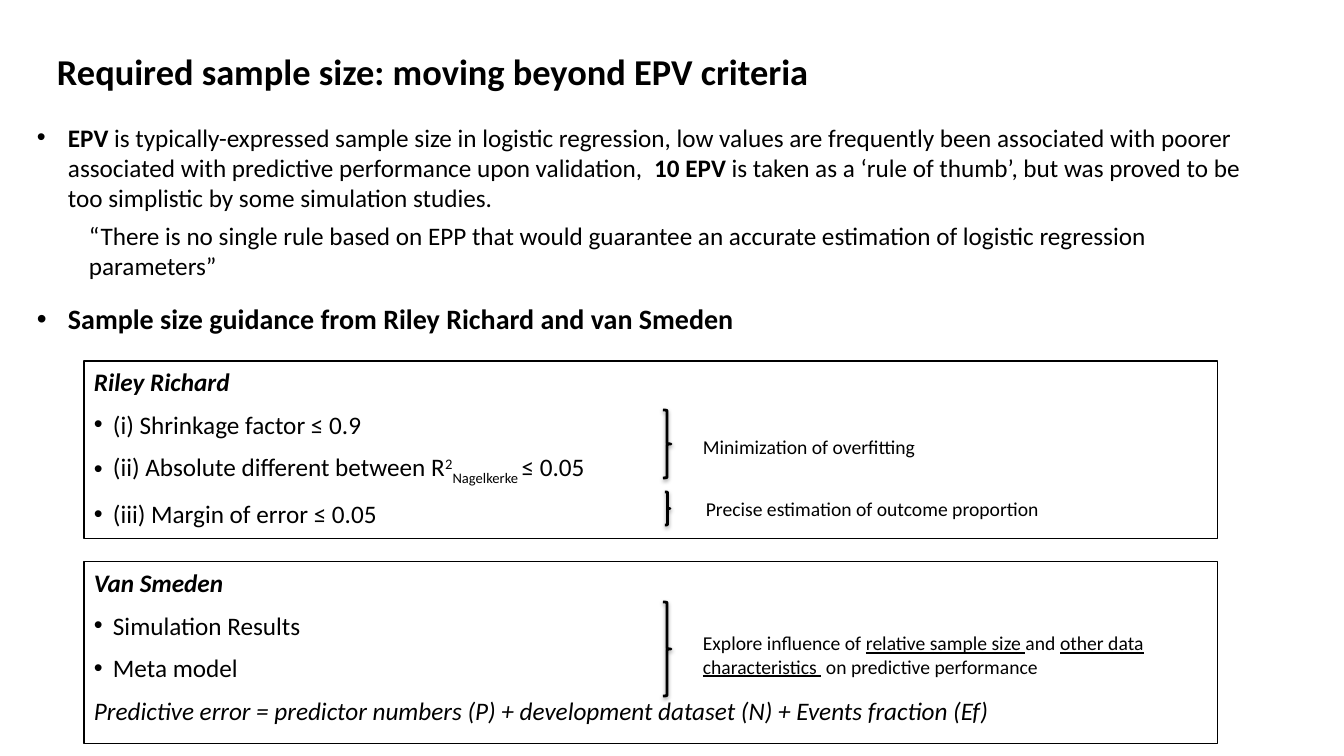
import pptx
import pptx.dml.color
import pptx.enum.shapes
import pptx.enum.text
import pptx.oxml
import pptx.oxml.ns
import pptx.util

EMU_PER_PX = 914400 / 100.8
BLACK = "000000"
FONT = "Calibri"
BOLD = {"bold": True}
HEADING = {"bold": True, "italic": True}
UNDERLINED = {"underline": True}
SHAPES = pptx.enum.shapes.MSO_SHAPE


def px(length):
    return pptx.util.Emu(round(length * EMU_PER_PX))


def color(value):
    return pptx.dml.color.RGBColor.from_string(value)


def para(*runs, size=18, before=0.5, left=0, hanging=0, bullet=False, level=0):
    """One paragraph; before is a share of the text size, indents are px."""
    return dict(runs=runs, size=size, before=before, left=left,
                hanging=hanging, bullet=bullet, level=level)


def item(*runs):
    return para(*runs, left=19, hanging=19, bullet=True)


def add_run(paragraph, text, size, formats):
    run = paragraph.add_run()
    run.text = text
    run.font.name = FONT
    run.font.size = pptx.util.Pt(size)
    run.font.color.rgb = color(BLACK)
    for name, value in formats.items():
        if name == "baseline":
            run._r.get_or_add_rPr().set("baseline", str(value * 1000))
        else:
            setattr(run.font, name, value)


def write(frame, paragraphs, inset=True):
    settings = {
        "word_wrap": True,
        "auto_size": pptx.enum.text.MSO_AUTO_SIZE.NONE,
        "vertical_anchor": pptx.enum.text.MSO_ANCHOR.TOP,
    }
    if not inset:
        settings.update(margin_left=0, margin_right=0, margin_top=0, margin_bottom=0)
    for name, value in settings.items():
        setattr(frame, name, value)

    for index, content in enumerate(paragraphs):
        paragraph = frame.add_paragraph() if index else frame.paragraphs[0]
        paragraph.alignment = pptx.enum.text.PP_ALIGN.LEFT
        paragraph.level = content["level"]
        paragraph.space_before = pptx.util.Pt(content["size"] * content["before"])
        properties = paragraph._p.get_or_add_pPr()
        properties.set("marL", str(px(content["left"])))
        properties.set("indent", str(px(-content["hanging"])))
        if content["bullet"]:
            namespace = pptx.oxml.ns.nsdecls("a")
            properties.append(pptx.oxml.parse_xml(
                f'<a:buFont {namespace} typeface="Arial"/>'))
            properties.append(pptx.oxml.parse_xml(
                f'<a:buChar {namespace} char="•"/>'))
        for run in content["runs"]:
            text, formats = (run, {}) if isinstance(run, str) else run
            add_run(paragraph, text, content["size"], formats)


def add_title(slide, text, left, top, width, height):
    title = slide.shapes.title
    place = {"left": left, "top": top, "width": width, "height": height}
    for name, value in place.items():
        setattr(title, name, px(value))
    write(title.text_frame, [para((text, BOLD), size=26, before=0)], inset=False)


def add_text(slide, box, paragraphs, inset=True):
    text = slide.shapes.add_textbox(*map(px, box))
    write(text.text_frame, paragraphs, inset)


def add_outline(slide, kind, box, weight):
    shape = slide.shapes.add_shape(kind, *map(px, box))
    shape.shadow.inherit = False
    shape.fill.background()
    shape.line.color.rgb = color(BLACK)
    shape.line.width = pptx.util.Pt(weight)
    return shape


def add_panel(slide, top, height, paragraphs):
    panel = add_outline(slide, SHAPES.RECTANGLE, (84, top, 1134, height), 0.75)
    write(panel.text_frame, paragraphs)


def add_brace(slide, left, top, width, height):
    brace = add_outline(slide, SHAPES.RIGHT_BRACE, (left, top, width, height), 2)
    # Soft shadow straight below the brace
    effects = brace._element.spPr.find(pptx.oxml.ns.qn("a:effectLst"))
    effects.append(pptx.oxml.parse_xml(
        f'<a:outerShdw {pptx.oxml.ns.nsdecls("a")} blurRad="39370" dist="20320" '
        f'dir="5400000" rotWithShape="0"><a:srgbClr val="{BLACK}">'
        '<a:alpha val="38000"/></a:srgbClr></a:outerShdw>'))


def main():
    deck = pptx.Presentation()
    deck.slide_width, deck.slide_height = px(1344), px(756)
    slide = deck.slides.add_slide(deck.slide_layouts.get_by_name("Title Only"))

    add_title(slide, "Required sample size: moving beyond EPV criteria", 57, 49, 1083, 144)

    # Background on EPV
    main_point = dict(before=0.75, left=31, hanging=31, bullet=True)
    add_text(slide, (37, 122, 1228, 147), [
        para(("EPV", BOLD),
             " is typically-expressed sample size in logistic regression, low values are "
             "frequently been associated with poorer associated with predictive "
             "performance upon validation,  ",
             ("10 EPV ", BOLD),
             "is taken as a ‘rule of thumb’, but was proved to be too simplistic by "
             "some simulation studies.", **main_point),
        para("“There is no single rule based on EPP that would guarantee an accurate "
             "estimation of logistic regression parameters”",
             before=0.3, left=52, level=1),
        para(("Sample size guidance from Riley Richard and van Smeden", BOLD),
             size=20, **main_point),
    ], inset=False)

    # Guidance panels
    add_panel(slide, 361, 178, [
        para(("Riley Richard", HEADING)),
        item("(i) Shrinkage factor ≤ 0.9"),
        item("(ii) Absolute different between R", ("2", {"baseline": 30}),
             ("Nagelkerke ", {"baseline": -25}), "≤ 0.05"),
        item("(iii) Margin of error ≤ 0.05"),
    ])
    add_panel(slide, 562, 182, [
        para(("Van Smeden", HEADING)),
        item("Simulation Results"),
        item("Meta model"),
        para(("Predictive error = predictor numbers (P) + development dataset (N) + "
              "Events fraction (Ef)", {"italic": True})),
    ])

    # Braces, each with the purpose of the criteria it spans
    purposes = [
        ((663, 410, 8, 68), (693, 430, 582, 34), ["Minimization of overfitting"]),
        ((665, 492, 5, 33), (696, 492, 362, 34),
         ["Precise estimation of outcome proportion"]),
        ((663, 602, 8, 94), (693, 626, 522, 57),
         ["Explore influence of ", ("relative sample size ", UNDERLINED), "and ",
          ("other data characteristics ", UNDERLINED), " on predictive performance"]),
    ]
    for brace, note, runs in purposes:
        add_brace(slide, *brace)
        add_text(slide, note, [para(*runs, size=14)])

    deck.save("out.pptx")


if __name__ == "__main__":
    main()
